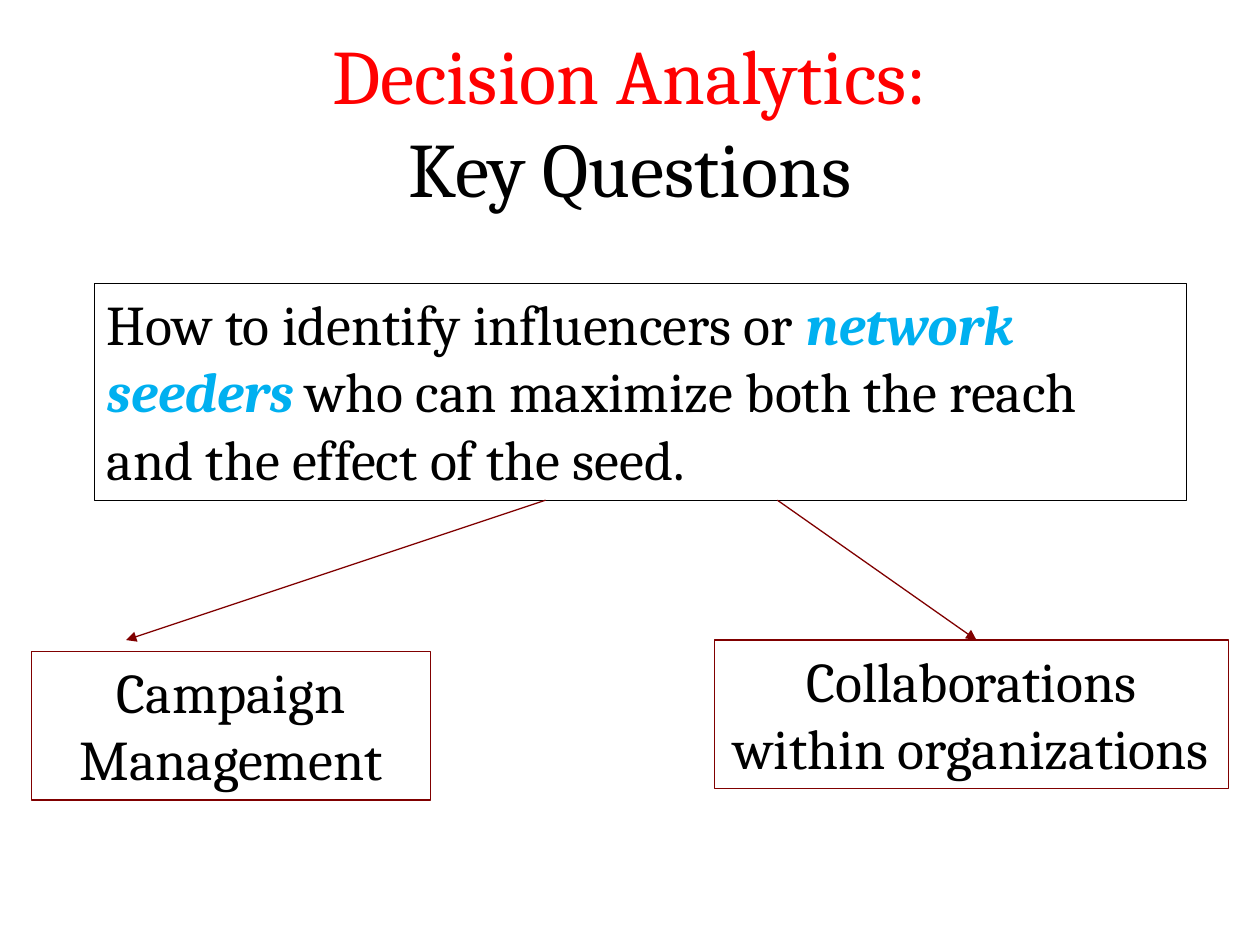
from dataclasses import dataclass

from lxml.etree import SubElement
from pptx import Presentation
from pptx.dml.color import RGBColor
from pptx.enum.shapes import MSO_CONNECTOR as Connector
from pptx.enum.shapes import MSO_SHAPE as Shape
from pptx.enum.text import MSO_ANCHOR as Anchor
from pptx.enum.text import PP_ALIGN as Align
from pptx.oxml.ns import qn
from pptx.util import Inches, Pt


@dataclass(frozen=True)
class Theme:
    font: str = "Cambria"
    title_size: int = 44
    body_size: int = 32
    line_width: float = 0.75
    black: RGBColor = RGBColor(0, 0, 0)
    red: RGBColor = RGBColor(255, 0, 0)
    blue: RGBColor = RGBColor(0, 176, 240)
    maroon: RGBColor = RGBColor(128, 0, 0)


THEME = Theme()


def style_paragraph(para, size, align):
    para.alignment = align
    para.font.name = THEME.font
    para.font.size = Pt(size)
    para.font.color.rgb = THEME.black


def add_span(para, text):
    span = para.add_run()
    span.text = text
    return span


def style_line(shape, color):
    shape.line.color.rgb = color
    shape.line.width = Pt(THEME.line_width)


def add_title(page, area, heading, subheading):
    box = page.shapes.add_textbox(*map(Inches, area))
    frame = box.text_frame
    frame.word_wrap = True
    frame.vertical_anchor = Anchor.MIDDLE
    para = frame.paragraphs[0]
    style_paragraph(para, THEME.title_size, Align.CENTER)
    add_span(para, heading).font.color.rgb = THEME.red
    para.add_line_break()
    add_span(para, subheading)


def add_framed_box(page, area, color, align):
    box = page.shapes.add_shape(Shape.RECTANGLE, *map(Inches, area))
    box.shadow.inherit = False
    box.fill.background()
    style_line(box, color)
    frame = box.text_frame
    frame.word_wrap = True
    frame.vertical_anchor = Anchor.TOP
    para = frame.paragraphs[0]
    style_paragraph(para, THEME.body_size, align)
    return para


def add_question(page, area):
    para = add_framed_box(page, area, THEME.black, Align.LEFT)
    add_span(para, "How to identify influencers or ")
    emphasis = add_span(para, "network seeders ").font
    emphasis.bold = emphasis.italic = True
    emphasis.color.rgb = THEME.blue
    add_span(para, "who can maximize both the reach and the effect of the seed.")


def add_topic(page, area, text):
    add_span(add_framed_box(page, area, THEME.maroon, Align.CENTER), text)


def add_arrow(page, start, end):
    arrow = page.shapes.add_connector(
        Connector.STRAIGHT, *map(Inches, (*start, *end))
    )
    style_line(arrow, THEME.maroon)
    SubElement(arrow.line._get_or_add_ln(), qn("a:tailEnd"), type="triangle")
    SubElement(arrow._element.spPr, qn("a:effectLst"))


def main():
    deck = Presentation()
    deck.slide_width, deck.slide_height = Inches(10), Inches(7.5)
    page = deck.slides.add_slide(deck.slide_layouts[6])

    add_title(page, (0.75, 0.33, 8.5, 1.25), "Decision Analytics:", "Key Questions")
    add_question(page, (0.75, 2.25, 8.67, 1.72))
    add_arrow(page, (4.33, 3.97), (1, 5.08))
    add_topic(page, (0.25, 5.17, 3.17, 1.18), "Campaign Management")
    add_arrow(page, (6.17, 3.97), (7.75, 5.08))
    add_topic(page, (5.67, 5.08, 4.08, 1.18), "Collaborations within organizations")

    deck.save("out.pptx")


if __name__ == "__main__":
    main()
